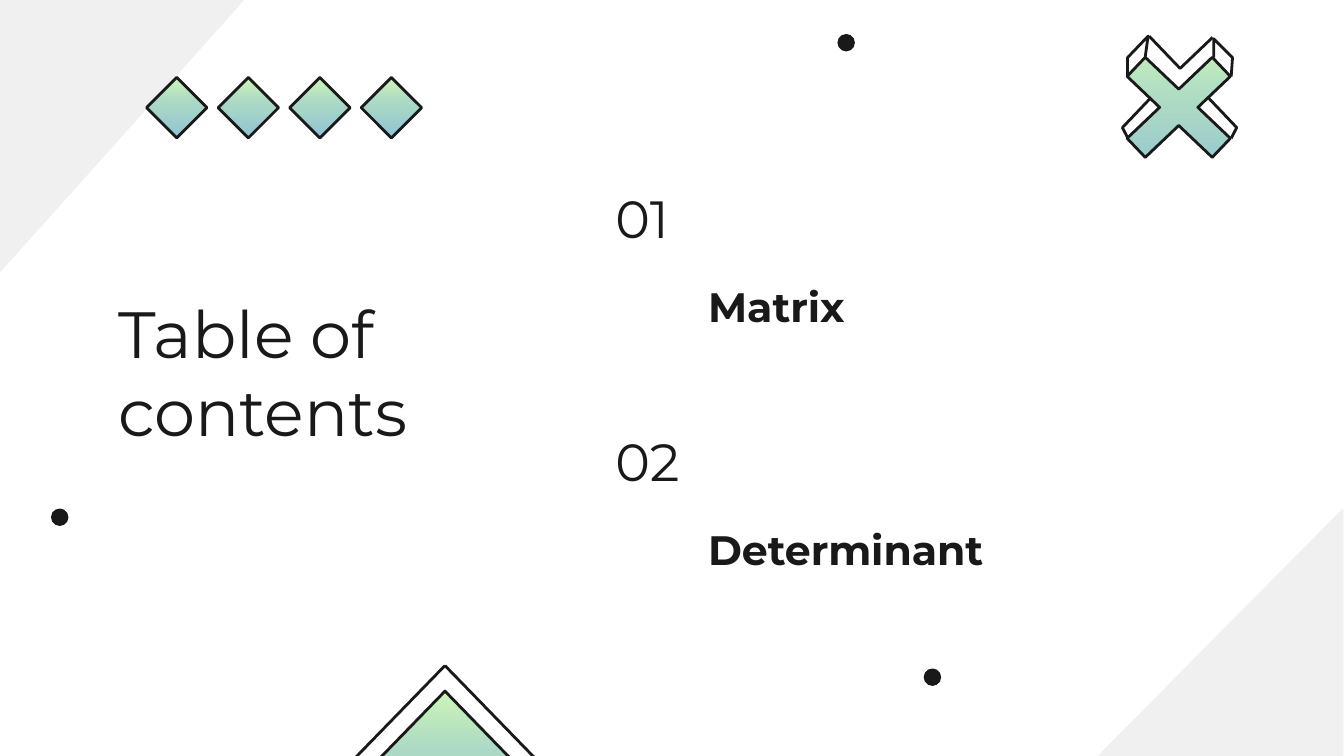
from copy import deepcopy
from dataclasses import dataclass

from pptx import Presentation
from pptx.dml.color import RGBColor
from pptx.enum.shapes import MSO_SHAPE
from pptx.enum.text import MSO_ANCHOR
from pptx.oxml.ns import qn
from pptx.util import Pt


@dataclass(frozen=True)
class Theme:
    ink: RGBColor = RGBColor.from_string("191919")
    corner: RGBColor = RGBColor.from_string("F0F0F0")
    gradient: tuple = tuple(map(RGBColor.from_string, ("CCF4B7", "ABD9C5", "91C3D2")))
    font: str = "Montserrat"
    title_size: float = 35
    number_size: float = 28
    label_size: float = 22
    thin_line: float = 0.75
    thick_line: float = 1.5


@dataclass(frozen=True)
class Box:
    left: float
    top: float
    width: float
    height: float

    def inner(self, left, top, width, height):
        return Box(self.left + left, self.top + top, width, height)

    def lengths(self):
        return Pt(self.left), Pt(self.top), Pt(self.width), Pt(self.height)


THEME = Theme()


def add_text(shapes, box, text, *, size, bold=False, anchor=MSO_ANCHOR.TOP):
    frame = shapes.add_textbox(*box.lengths()).text_frame
    frame.word_wrap = True
    frame.vertical_anchor = anchor
    frame.margin_left = frame.margin_right = Pt(7.2)
    frame.margin_top = frame.margin_bottom = Pt(7.2)
    run = frame.paragraphs[0].add_run()
    run.text = text
    run.font.name = THEME.font
    run.font.size = Pt(size)
    run.font.bold = bold
    run.font.color.rgb = THEME.ink


def set_line(shape, color, width):
    shape.shadow.inherit = False
    shape.line.color.rgb = color
    shape.line.width = Pt(width)


def add_solid(shapes, kind, box, color, rotation=0):
    shape = shapes.add_shape(kind, *box.lengths())
    shape.rotation = rotation
    shape.fill.solid()
    shape.fill.fore_color.rgb = color
    set_line(shape, color, THEME.thin_line)


def add_gradient(shapes, kind, box, middle=0.5, adjustment=None):
    shape = shapes.add_shape(kind, *box.lengths())
    if adjustment is not None:
        shape.adjustments[0] = adjustment
    shape.fill.gradient()
    shape.fill.gradient_angle = 270
    stop_list = next(shape._element.iter(qn("a:gsLst")))
    stop_list.insert(1, deepcopy(stop_list[0]))
    stops = shape.fill.gradient_stops
    for stop, color, position in zip(stops, THEME.gradient, (0, middle, 1)):
        stop.color.rgb = color
        stop.position = position
    set_line(shape, THEME.ink, THEME.thick_line)


def add_outline(shapes, box, points):
    start, *rest = [(Pt(box.left + x), Pt(box.top + y)) for x, y in points]
    builder = shapes.build_freeform(*start)
    builder.add_line_segments(rest, close=False)
    shape = builder.convert_to_shape()
    shape.fill.background()
    set_line(shape, THEME.ink, THEME.thick_line)


def add_backdrop(shapes, box):
    for corner, rotation in (
        (box.inner(588.2, 273.6, 131.8, 130.5), 270),
        (box.inner(-7.8, 7.8, 145.4, 130.4), 90),
    ):
        add_solid(shapes, MSO_SHAPE.RIGHT_TRIANGLE, corner, THEME.corner, rotation)
    for left, top in ((449, 18.6), (495.2, 358.5), (27.7, 272.8)):
        add_solid(shapes, MSO_SHAPE.OVAL, box.inner(left, top, 8.6, 8.6), THEME.ink)


def add_peak(shapes, box):
    parts = shapes.add_group_shape().shapes
    center, shoulder = box.width / 2, 64.4
    triangle = box.inner(0, 13.7, box.width, shoulder)
    add_gradient(parts, MSO_SHAPE.ISOSCELES_TRIANGLE, triangle)
    for side in (0, box.width):
        add_outline(parts, box, [(center, 0), (side, shoulder), (side, box.height)])


def add_cross(shapes, box):
    parts = shapes.add_group_shape().shapes
    add_gradient(parts, MSO_SHAPE.MATH_MULTIPLY, box, adjustment=0.169)
    for points in (
        [(16.5, 25.2), (16.5, 15.1), (27.5, 3.6), (25.9, 15.1)],
        [(28, 3.6), (44.6, 20.9), (62, 4.3)],
        [(72, 25.2), (72.7, 15.1), (62.6, 5), (62.6, 15.1)],
        [(28.8, 36.7), (13.7, 52.6), (16.6, 58.3)],
        [(59.8, 36.7), (74.9, 52.6), (72, 58.3)],
    ):
        add_outline(parts, box, points)


def add_diamonds(shapes, box, count=4):
    parts = shapes.add_group_shape().shapes
    size = box.height
    pitch = (box.width - size) / (count - 1)
    for index in range(count):
        diamond = box.inner(index * pitch, 0, size, size)
        add_gradient(parts, MSO_SHAPE.DIAMOND, diamond, middle=0.4)


def add_contents(shapes, box, entries):
    pitch = box.height / len(entries)
    for index, label in enumerate(entries):
        top = index * pitch
        add_text(shapes, box.inner(0, top, 98.6, 64.8), f"{index + 1:02}",
                 size=THEME.number_size, anchor=MSO_ANCHOR.MIDDLE)
        add_text(shapes, box.inner(49.7, top + 65.5, box.width - 49.7, 34.6), label,
                 size=THEME.label_size, bold=True, anchor=MSO_ANCHOR.BOTTOM)


def main():
    presentation = Presentation()
    presentation.slide_width, presentation.slide_height = Pt(720), Pt(405)
    slide = presentation.slides.add_slide(presentation.slide_layouts[6])
    shapes = slide.shapes
    add_backdrop(shapes, Box(0, 0, 720, 405))
    add_peak(shapes, Box(175.8, 356.6, 125.2, 78.3))
    add_text(shapes, Box(56.2, 149.8, 208, 106.6), "Table of contents", size=THEME.title_size)
    add_contents(shapes, Box(322.6, 84.3, 397.4, 260.4), ["Matrix", "Determinant"])
    add_cross(shapes, Box(587.6, 15.8, 87.8, 83.5))
    add_diamonds(shapes, Box(78.5, 41.5, 147.4, 32.4))
    presentation.save("out.pptx")


if __name__ == "__main__":
    main()
